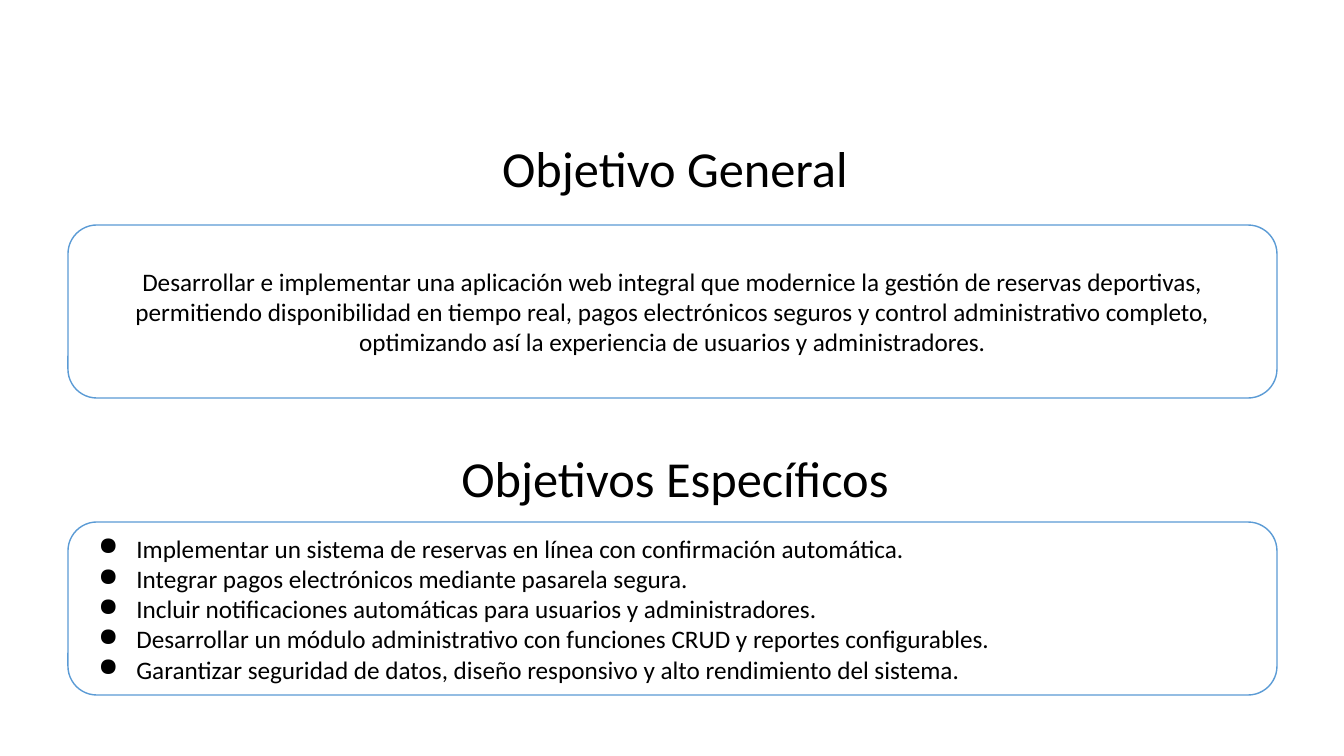
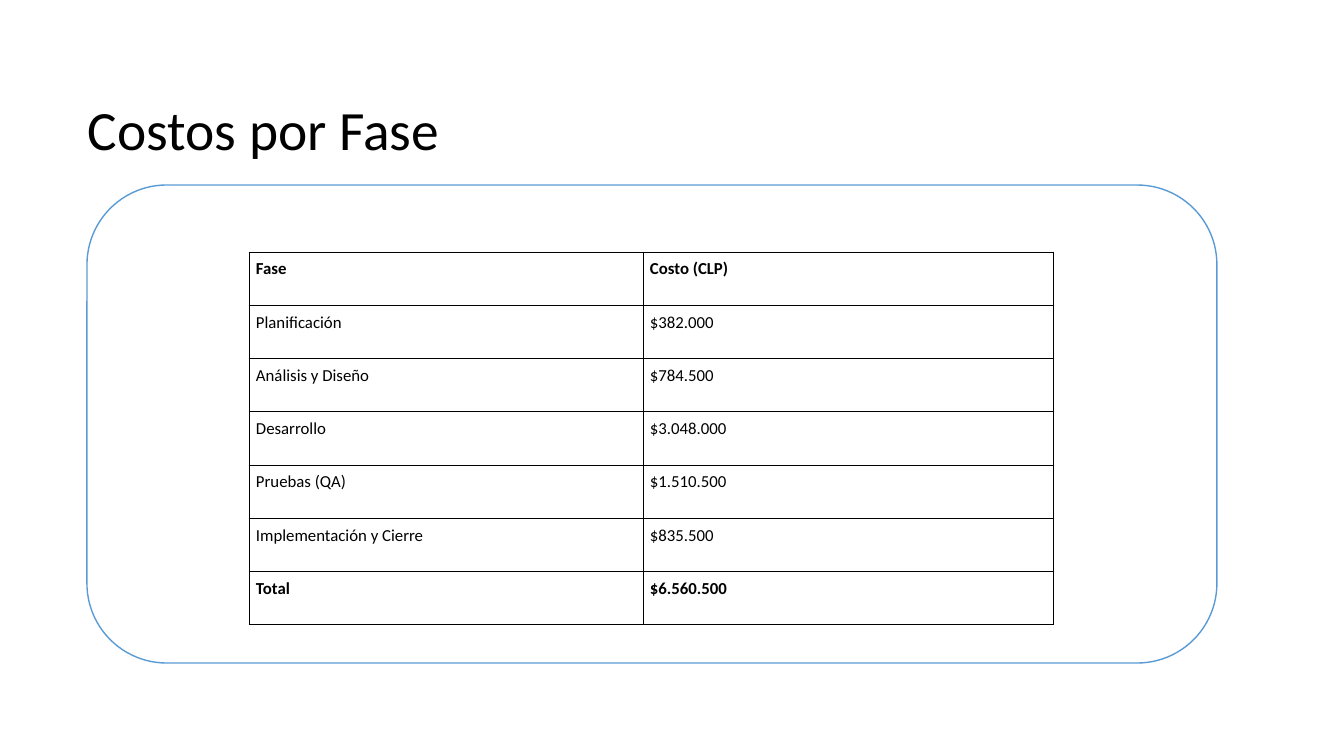
from lxml import etree
from pptx import Presentation
from pptx.dml.color import RGBColor
from pptx.enum import shapes, text
from pptx.oxml import ns
from pptx import util as u

PX = 914400 / 100.8  # EMU per px
COLORS = {"ink": "000000", "paper": "FFFFFF", "outline": "5B9BD5"}
ALIGN, ANCHOR = text.PP_ALIGN, text.MSO_ANCHOR


def px(n):
    return u.Emu(round(n * PX))


def rgb(name):
    return RGBColor.from_string(COLORS[name])


def sub(parent, tag, **attrs):
    return etree.SubElement(parent, ns.qn(tag), attrs)


class Deck:
    FONT = "Calibri"

    def __init__(self, width, height):
        self.prs = Presentation()
        self.prs.slide_width, self.prs.slide_height = px(width), px(height)
        self.s = None

    def slide(self):
        self.s = self.prs.slides.add_slide(self.prs.slide_layouts[6])
        self.s.background.fill.solid()
        self.s.background.fill.fore_color.rgb = rgb("paper")

    def put_text(self, tf, lines, size, bold=False, bullet=None, **paragraph_format):
        tf.word_wrap = True
        for i, line in enumerate(lines):
            p = tf.paragraphs[0] if i == 0 else tf.add_paragraph()
            for key, value in paragraph_format.items():
                setattr(p, key, value)
            if bullet:
                self.bullet(p, bullet)
            r = p.add_run()
            r.text = line
            font = {"name": self.FONT, "size": u.Pt(size), "bold": bold}
            for key, value in font.items():
                setattr(r.font, key, value)
            r.font.color.rgb = rgb("ink")

    def bullet(self, p, char):
        pPr = p._p.get_or_add_pPr()
        pPr.set("marL", str(px(50)))
        pPr.set("indent", str(px(-38)))
        sub(sub(pPr, "a:buClr"), "a:srgbClr", val=COLORS["ink"])
        sub(pPr, "a:buChar", char=char)

    def heading(self, x, y, w, h, line, size=36, anchor=ANCHOR.TOP, **fmt):
        tf = self.s.shapes.add_textbox(px(x), px(y), px(w), px(h)).text_frame
        tf.vertical_anchor = anchor
        self.put_text(tf, [line], size, **fmt)

    def panel(self, x, y, w, h, lines=(), **fmt):
        sp = self.s.shapes.add_shape(
            shapes.MSO_SHAPE.ROUNDED_RECTANGLE, px(x), px(y), px(w), px(h))
        sp.shadow.inherit = False
        sp.fill.solid()
        sp.fill.fore_color.rgb = rgb("paper")
        sp.line.color.rgb = rgb("outline")
        sp.line.width = u.Pt(1)
        sp.text_frame.vertical_anchor = ANCHOR.MIDDLE
        self.put_text(sp.text_frame, lines, 18, **fmt)

    def table(self, x, y, widths, h, rows, bold_rows):
        table = self.s.shapes.add_table(
            len(rows), len(widths), px(x), px(y), px(sum(widths)), px(h)).table
        table.first_row = table.horz_banding = False
        for column, width in zip(table.columns, widths):
            column.width = px(width)
        for i, row in enumerate(rows):
            for j, value in enumerate(row):
                cell = table.cell(i, j)
                for side in ("left", "right", "top", "bottom"):
                    setattr(cell, f"margin_{side}", px(7))
                cell.fill.background()
                self.borders(cell)
                self.put_text(cell.text_frame, [value], 12, i in bold_rows,
                              alignment=ALIGN.JUSTIFY)

    def borders(self, cell):
        tcPr = cell._tc.get_or_add_tcPr()
        for i, side in enumerate("LRTB"):
            ln = sub(tcPr, f"a:ln{side}", w=str(u.Pt(0.5)))
            sub(sub(ln, "a:solidFill"), "a:srgbClr", val=COLORS["ink"])
            tcPr.insert(i, ln)  # borders come before the fill


OBJETIVO = (
    "Desarrollar e implementar una aplicación web integral que modernice la "
    "gestión de reservas deportivas, permitiendo disponibilidad en tiempo real, "
    "pagos electrónicos seguros y control administrativo completo, optimizando "
    "así la experiencia de usuarios y administradores.")
ESPECIFICOS = [
    "Implementar un sistema de reservas en línea con confirmación automática.",
    "Integrar pagos electrónicos mediante pasarela segura.",
    "Incluir notificaciones automáticas para usuarios y administradores.",
    "Desarrollar un módulo administrativo con funciones CRUD y reportes configurables.",
    "Garantizar seguridad de datos, diseño responsivo y alto rendimiento del sistema.",
]
COSTOS = [
    ("Fase", "Costo (CLP)"),
    ("Planificación", "$382.000"),
    ("Análisis y Diseño", "$784.500"),
    ("Desarrollo", "$3.048.000"),
    ("Pruebas (QA)", "$1.510.500"),
    ("Implementación y Cierre", "$835.500"),
    ("Total", "$6.560.500"),
]


def main():
    deck = Deck(1344, 756)

    # Objectives: a centred heading above each panel
    deck.slide()
    sections = [
        ("Objetivo General", 132, 225, [OBJETIVO], {"alignment": ALIGN.CENTER}),
        ("Objetivos Específicos", 442, 522, ESPECIFICOS,
         {"alignment": ALIGN.LEFT, "bullet": "●"}),
    ]
    for title, title_y, panel_y, lines, fmt in sections:
        deck.panel(68, panel_y, 1209, 173, lines, **fmt)
        deck.heading(17, title_y, 1316, 72, title, alignment=ALIGN.CENTER)

    # Costs by phase
    deck.slide()
    deck.heading(78, 100, 1159, 65, "Costos por Fase", 39.6, ANCHOR.MIDDLE,
                 line_spacing=0.9)
    deck.panel(87, 185, 1130, 478)
    deck.table(249, 252, [394, 410], 373, COSTOS, bold_rows=(0, len(COSTOS) - 1))

    deck.prs.save("out.pptx")


if __name__ == "__main__":
    main()
